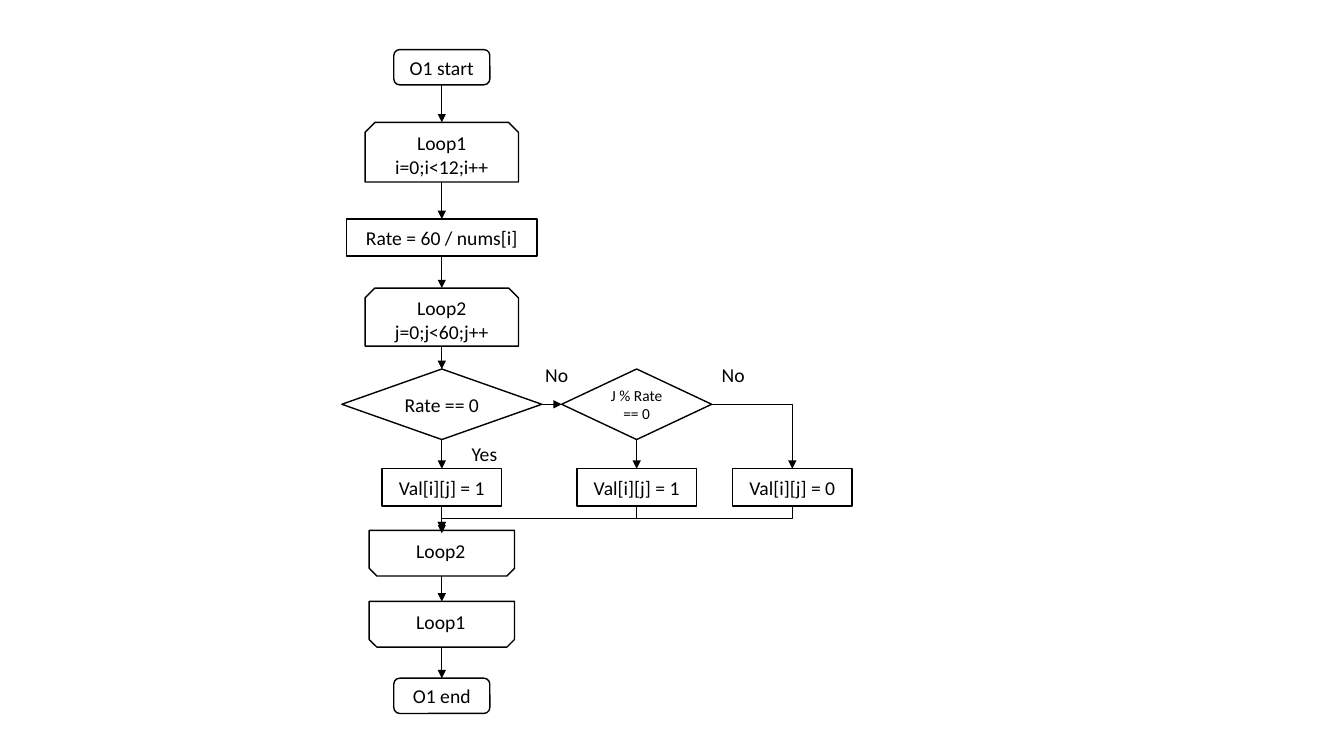
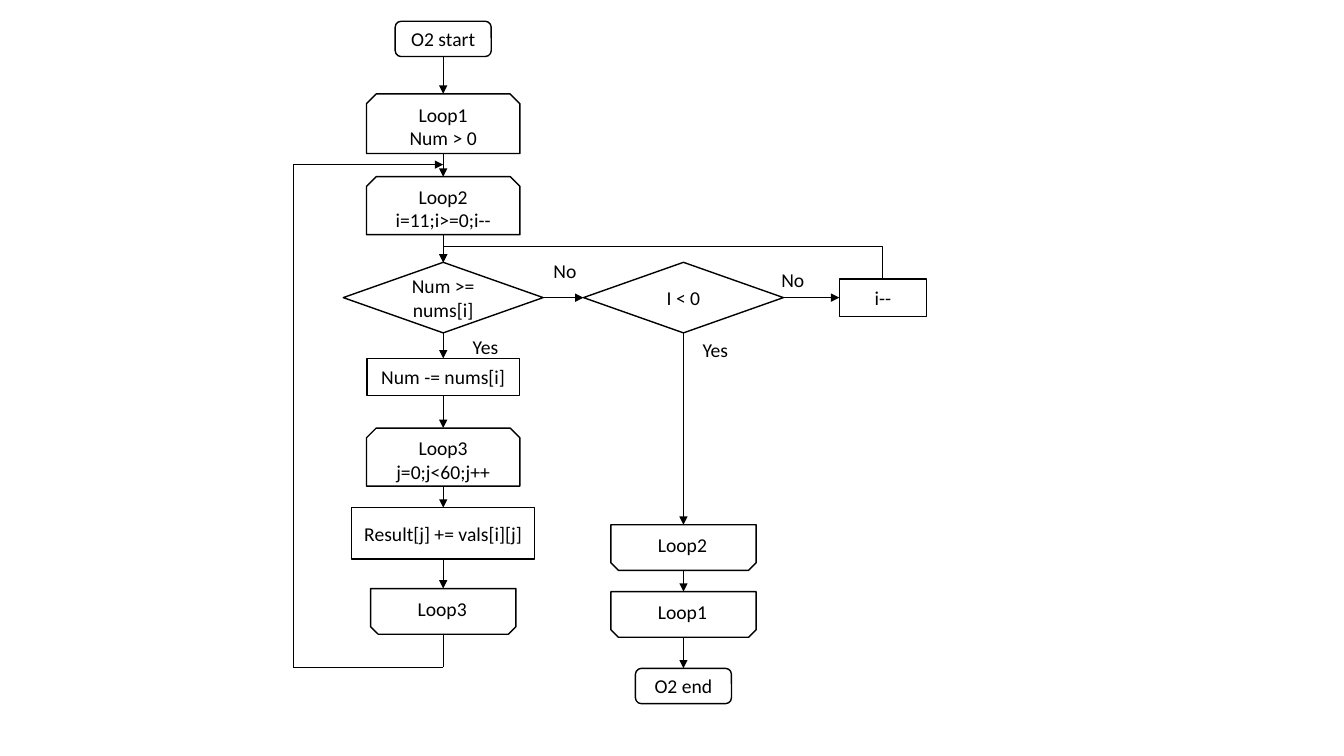
from itertools import pairwise

from pptx import Presentation
from pptx import util as u
from pptx.dml.color import RGBColor
from pptx.enum import shapes, text
from pptx.oxml import xmlchemy as x
from pptx.oxml.ns import qn

Pt = u.Pt
COLORS = {"ink": "000000", "paper": "FFFFFF"}
FONT = "Calibri"
TEXT_SIZE = 14
KINDS = shapes.MSO_SHAPE
LOOP_W, DECISION_W, DECISION_H = 109.6, 142.8, 50.4
BOX_H = 26.6


def color(name):
    """Return a palette colour."""
    return RGBColor.from_string(COLORS[name])


def write(tf, lines, align, size=TEXT_SIZE):
    """Fill a text frame, one paragraph per line."""
    tf.word_wrap = True
    for i, line in enumerate(lines.split("\n")):
        p = tf.paragraphs[0] if i == 0 else tf.add_paragraph()
        p.alignment = align
        r = p.add_run()
        r.text = line
        r.font.name, r.font.size = FONT, Pt(size)
        r.font.color.rgb = color("ink")


def node(s, kind, cx, top, w, h, lines="", size=TEXT_SIZE):
    """Add an outlined shape centred on cx."""
    sp = s.shapes.add_shape(kind, Pt(cx - w / 2), Pt(top), Pt(w), Pt(h))
    sp.shadow.inherit = False
    sp.fill.solid()
    sp.fill.fore_color.rgb = color("paper")
    sp.line.color.rgb, sp.line.width = color("ink"), Pt(1)
    if lines:
        sp.text_frame.vertical_anchor = text.MSO_ANCHOR.MIDDLE
        write(sp.text_frame, lines, text.PP_ALIGN.CENTER, size)
    return sp


def terminal(s, cx, top, lines):
    """Add a start or end node."""
    return node(s, KINDS.FLOWCHART_ALTERNATE_PROCESS, cx, top, 68.6, 25.2, lines)


def process(s, cx, top, w, lines, h=BOX_H):
    """Add a process box."""
    return node(s, KINDS.RECTANGLE, cx, top, w, h, lines)


def decision(s, cx, top, lines, w=DECISION_W, size=TEXT_SIZE):
    """Add a decision diamond."""
    return node(s, KINDS.FLOWCHART_DECISION, cx, top, w, DECISION_H, lines, size)


def loop_start(s, cx, top, lines, h=41.4):
    """Add a loop head with its upper corners cut."""
    return node(s, KINDS.SNIP_2_SAME_RECTANGLE, cx, top, LOOP_W, h, lines)


def loop_end(s, cx, top, name):
    """Add a loop foot with its lower corners cut, and its upright name."""
    sp = node(s, KINDS.SNIP_2_SAME_RECTANGLE, cx, top, 103.8, 32.6)
    sp.rotation = 180
    label(s, cx - 25.4, top + 2.4, name, 51.8)
    return sp


def label(s, left, top, line, w=64.8):
    """Add a left-aligned caption."""
    tb = s.shapes.add_textbox(Pt(left), Pt(top), Pt(w), Pt(24.2))
    write(tb.text_frame, line, text.PP_ALIGN.LEFT)
    tb.text_frame.auto_size = text.MSO_AUTO_SIZE.SHAPE_TO_FIT_TEXT


def side(sp, name):
    """Return the middle of one side of a shape, in points."""
    left, top, w, h = sp.left.pt, sp.top.pt, sp.width.pt, sp.height.pt
    return {"top": (left + w / 2, top), "bottom": (left + w / 2, top + h),
            "left": (left, top + h / 2), "right": (left + w, top + h / 2)}[name]


def connector(s, start, end, arrow=True, kind=shapes.MSO_CONNECTOR.STRAIGHT):
    """Add a thin connector between two points."""
    c = s.shapes.add_connector(kind, *(Pt(v) for v in (*start, *end)))
    c.line.color.rgb, c.line.width = color("ink"), Pt(0.5)
    if arrow:
        tail = x.OxmlElement("a:tailEnd")
        tail.set("type", "triangle")
        c.line._get_or_add_ln().append(tail)
    c._element.spPr.append(x.OxmlElement("a:effectLst"))
    return c


def flow_down(s, *nodes):
    """Join nodes from top to bottom with arrows."""
    for upper, lower in pairwise(nodes):
        cx, y = side(upper, "bottom")
        connector(s, (cx, y), (cx, side(lower, "top")[1]))


def flow_right(s, *nodes):
    """Join nodes from left to right with arrows."""
    for first, second in pairwise(nodes):
        left, y = side(first, "right")
        connector(s, (left, y), (side(second, "left")[0], y))


def corner(s, start, end):
    """Add an arrow that runs across and then down."""
    c = connector(s, start, end, kind=shapes.MSO_CONNECTOR.ELBOW)
    c._element.spPr.find(qn("a:prstGeom")).set("prst", "bentConnector2")


def merge_left(s, start, end, bend=0.5):
    """Add an arrow that leaves vertically, runs left and arrives vertically."""
    (x1, y1), (x2, y2) = start, end
    cx, cy = (x1 + x2) / 2, (y1 + y2) / 2
    half_w, half_h = abs(y2 - y1) / 2, (x1 - x2) / 2
    rising = y2 < y1
    if rising:
        half_h = -half_h
    c = connector(s, (cx - half_w, cy - half_h), (cx + half_w, cy + half_h),
                  kind=shapes.MSO_CONNECTOR.ELBOW)
    spPr = c._element.spPr
    spPr.find(qn("a:xfrm")).set("rot", str((270 if rising else 90) * 60000))
    geom = spPr.find(qn("a:prstGeom"))
    guides = geom.find(qn("a:avLst"))
    if guides is None:
        guides = x.OxmlElement("a:avLst")
        geom.append(guides)
    gd = x.OxmlElement("a:gd")
    gd.set("name", "adj1")
    gd.set("fmla", f"val {round(bend * 100000)}")
    guides.append(gd)


def values_chart(s):
    """Draw the O1 flow, which fills the value table."""
    main_x, mid_x, right_x = 315.6, 454.8, 566
    start = terminal(s, main_x, 35.4, "O1 start")
    loop1 = loop_start(s, main_x, 87.4, "Loop1\ni=0;i<12;i++", 42.6)
    rate = process(s, main_x, 156.4, 136.2, "Rate = 60 / nums[i]")
    loop2 = loop_start(s, main_x, 205.8, "Loop2\nj=0;j<60;j++")
    zero_rate = decision(s, main_x, 263.6, "Rate == 0")
    on_beat = decision(s, mid_x, 263.6, "J % Rate == 0", 107.2, 11)
    set_main, set_mid, set_right = (
        process(s, cx, 334.8, 85.2, f"Val[i][j] = {value}")
        for cx, value in ((main_x, 1), (mid_x, 1), (right_x, 0)))
    loop2_end = loop_end(s, main_x, 378.8, "Loop2")
    loop1_end = loop_end(s, main_x, 429.6, "Loop1")
    end = terminal(s, main_x, 484.4, "O1 end")

    flow_down(s, start, loop1, rate, loop2, zero_rate, set_main)
    flow_down(s, on_beat, set_mid)
    flow_right(s, zero_rate, on_beat)
    corner(s, side(on_beat, "right"), side(set_right, "top"))
    connector(s, side(set_main, "bottom"), (main_x, 381))
    for box in (set_mid, set_right):
        merge_left(s, side(box, "bottom"), side(loop2_end, "top"))
    flow_down(s, loop2_end, loop1_end, end)
    for left, top, answer in ((329.8, 311.8, "Yes"), (382.4, 255.6, "No"),
                              (508.4, 255.6, "No")):
        label(s, left, top, answer)


def result_chart(s):
    """Draw the O2 flow, which sums the result."""
    main_x, mid_x, right_x = 316.6, 488.2, 630.6
    start = terminal(s, main_x, 15.2, "O2 start")
    loop1 = loop_start(s, main_x, 67, "Loop1\nNum > 0", 42.6)
    loop2 = loop_start(s, main_x, 126.2, "Loop2\ni=11;i>=0;i--")
    fits = decision(s, main_x, 187.4, "Num >= nums[i]")
    subtract = process(s, main_x, 256, 109, "Num -= nums[i]")
    loop3 = loop_start(s, main_x, 305.8, "Loop3\nj=0;j<60;j++")
    add = process(s, main_x, 362.6, 130.6, "Result[j] += vals[i][j]", 36.8)
    loop3_end = loop_end(s, main_x, 420.4, "Loop3")
    done = decision(s, mid_x, 187.4, "I < 0")
    step = process(s, right_x, 199.4, 62.2, "i--")
    loop2_end = loop_end(s, mid_x, 374.8, "Loop2")
    loop1_end = loop_end(s, mid_x, 422.6, "Loop1")
    end = terminal(s, mid_x, 477.4, "O2 end")

    flow_down(s, start, loop1, loop2, fits, subtract, loop3, add, loop3_end)
    flow_down(s, done, loop2_end, loop1_end, end)
    flow_right(s, fits, done, step)
    merge_left(s, side(step, "top"), side(fits, "top"), 1.97)
    back_x, back_top, back_bottom = 209.6, 117.6, 476.6
    route = [side(loop3_end, "bottom"), (main_x, back_bottom),
             (back_x, back_bottom), (back_x, back_top), (main_x, back_top)]
    for a, b in pairwise(route):
        connector(s, a, b, arrow=b == route[-1])
    for left, top, answer in ((330.6, 235.4, "Yes"), (388.2, 181.4, "No"),
                              (494.8, 237.6, "Yes"), (551, 188, "No")):
        label(s, left, top, answer)


def main():
    """Build and save the presentation."""
    prs = Presentation()
    prs.slide_width, prs.slide_height = Pt(960), Pt(540)
    for draw in (values_chart, result_chart):
        draw(prs.slides.add_slide(prs.slide_layouts[6]))
    prs.save("out.pptx")


main()
